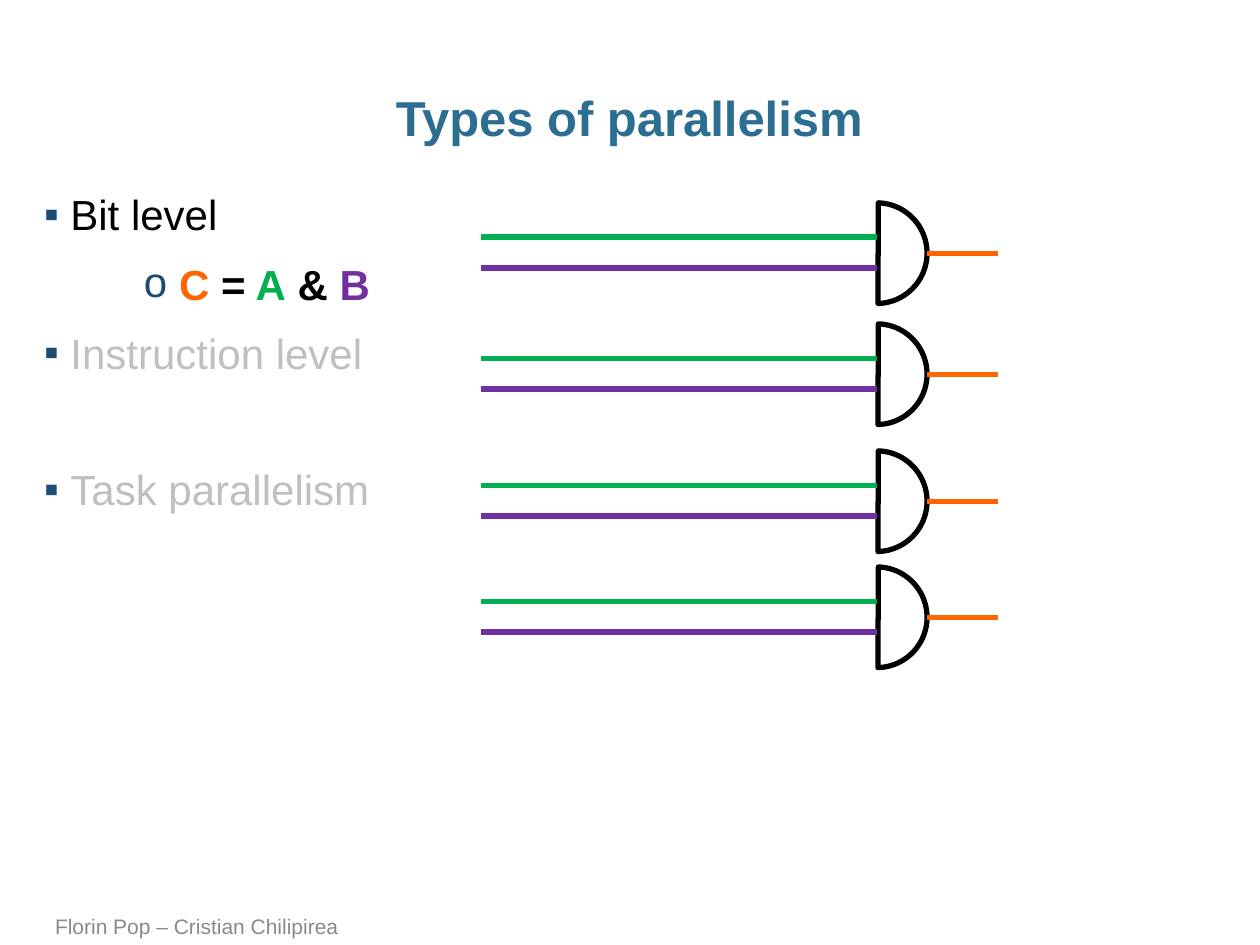
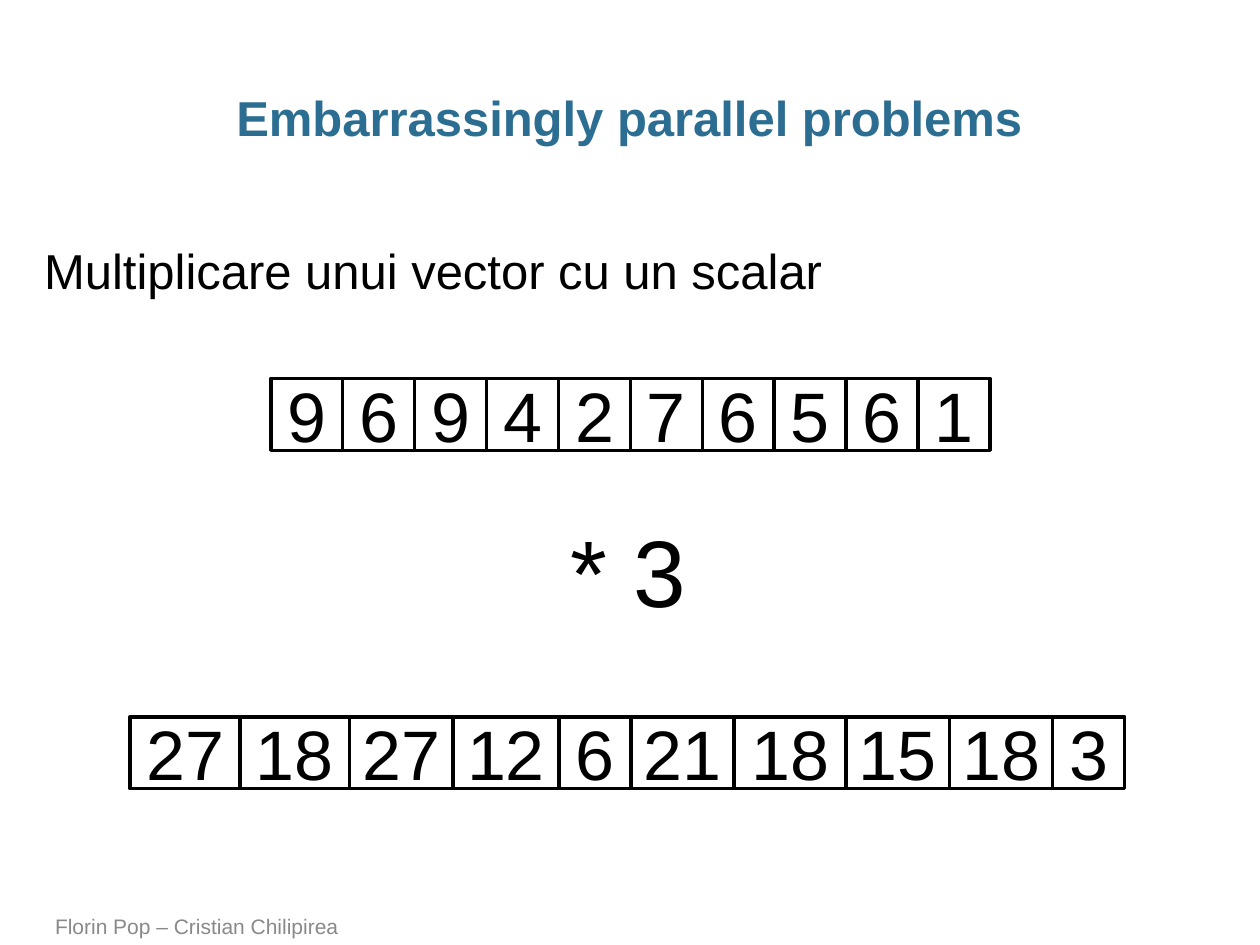
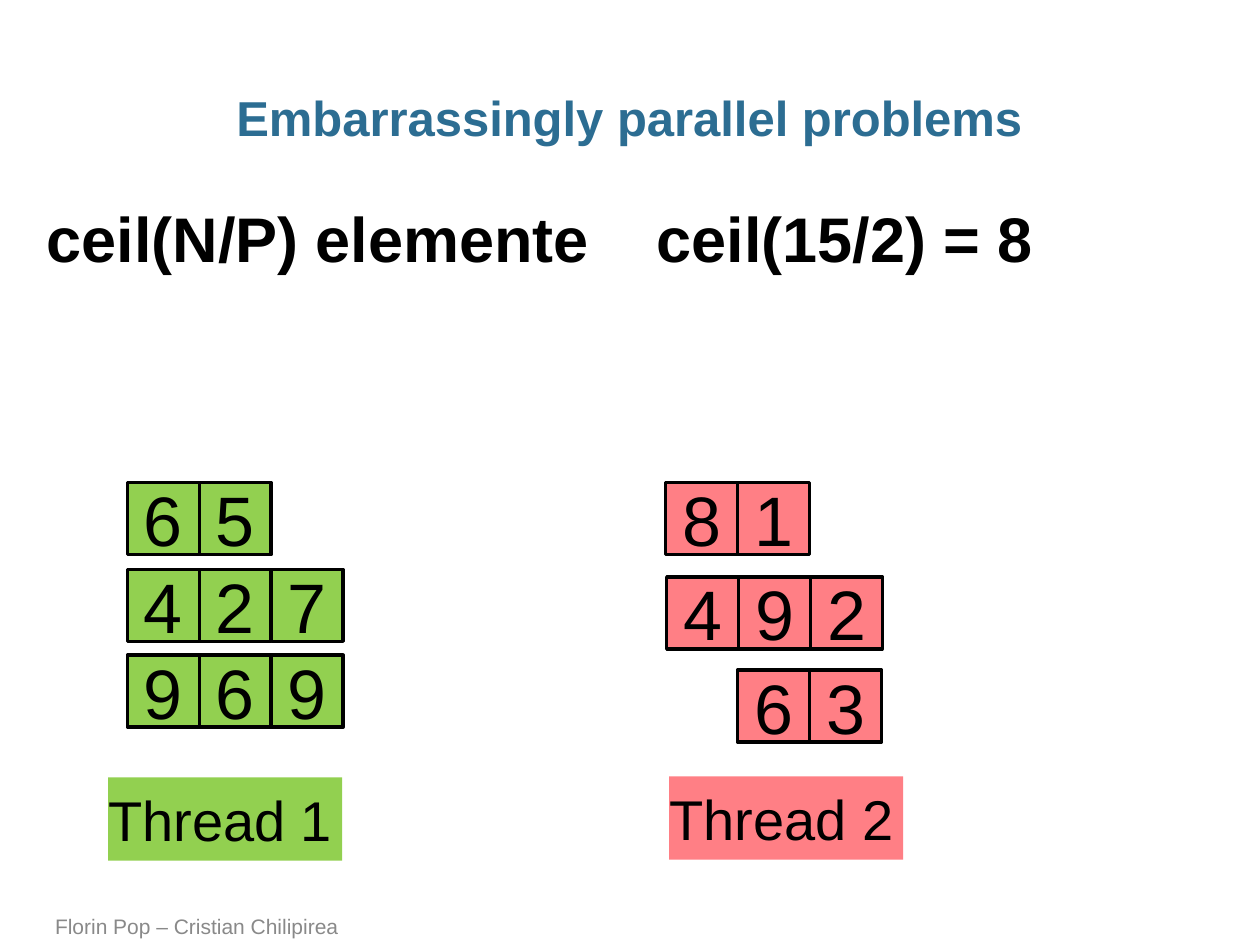
from lxml import etree
from pptx import Presentation
from pptx import util as u
from pptx.dml.color import RGBColor
from pptx.enum import shapes, text
from pptx.oxml import ns

Cm, Pt = u.Cm, u.Pt
FONT = "Arial"
HUES = {
    "title": "2C6D92", "mark": "1C4C74", "foot": "898989", "dim": "BFBFBF",
    "black": "000000", "orange": "FF6600", "green": "00B050",
    "purple": "7030A0", "lime": "92D050", "pink": "FF7F85",
}
SIDE = 1.45  # edge of a square cell


def write(slide, words, spot, size, hue="black", bold=False, side=0.25):
    """Add a text box with one paragraph and return the paragraph."""
    frame = slide.shapes.add_textbox(*[Cm(n) for n in spot]).text_frame
    frame.word_wrap = True
    frame.margin_left = frame.margin_right = Cm(side)
    par = frame.paragraphs[0]
    par.text = words
    par.font.name, par.font.size, par.font.bold = FONT, Pt(size), bold
    par.font.color.rgb = RGBColor.from_string(HUES[hue])
    return par


def block(slide, words, spot, size=40, fill=None, edge=True):
    """Add a rectangle with text and return its text frame."""
    rect = slide.shapes.add_shape(shapes.MSO_SHAPE.RECTANGLE,
                                  *[Cm(n) for n in spot])
    rect.shadow.inherit = False
    if fill:
        rect.fill.solid()
        rect.fill.fore_color.rgb = RGBColor.from_string(HUES[fill])
    else:
        rect.fill.background()
    if edge:
        rect.line.width = Pt(2)
        rect.line.color.rgb = RGBColor.from_string(HUES["black"])
    else:
        rect.line.fill.background()
    frame = rect.text_frame
    frame.word_wrap = False
    frame.vertical_anchor = text.MSO_ANCHOR.MIDDLE
    par = frame.paragraphs[0]
    par.text = words
    par.alignment = text.PP_ALIGN.CENTER
    par.font.name, par.font.size = FONT, Pt(size)
    par.font.color.rgb = RGBColor.from_string(HUES["black"])
    return frame


deck = Presentation()
deck.slide_width, deck.slide_height = Cm(25.4), Cm(19.05)

# Titles and footers
pages = []
for name in ["Types of parallelism"] + ["Embarrassingly parallel problems"] * 2:
    page = deck.slides.add_slide(deck.slide_layouts[6])
    head = write(page, name, (0.86, 1.73, 23.65, 1.27), 28, "title", True, 0)
    head.alignment = text.PP_ALIGN.CENTER
    head.line_spacing = 0.95
    write(page, "Florin Pop – Cristian Chilipirea",
          (0.86, 18.34, 18.72, 0.71), 12, "foot")
    page.shapes[-1].text_frame.vertical_anchor = text.MSO_ANCHOR.BOTTOM
    pages.append(page)
types, scale, split = pages

# Slide 1: bulleted list (level, space before, runs)
items = [
    (0, 0, [("Bit level", "black")]),
    (1, 10.8, [("C ", "orange"), ("=", "black"), (" A", "green"),
               (" & ", "black"), ("B", "purple")]),
    (0, 10.8, [("Instruction level", "dim")]),
    (0, 49.2, [("Task parallelism", "dim")]),
]
frame = types.shapes.add_textbox(Cm(0.89), Cm(3.68), Cm(23.67),
                                 Cm(14.15)).text_frame
frame.word_wrap = True
frame.margin_left = frame.margin_right = 0
for i, (level, gap, runs) in enumerate(items):
    par = frame.add_paragraph() if i else frame.paragraphs[0]
    par.level = level
    left, hang, mark = [(0.53, 0.53, "▪"), (2.72, 0.71, "o")][level]
    prop = par._p.get_or_add_pPr()
    prop.set("marL", str(Cm(left)))
    prop.set("indent", str(-Cm(hang)))
    tint = etree.SubElement(prop, ns.qn("a:buClr"))
    etree.SubElement(tint, ns.qn("a:srgbClr")).set("val", HUES["mark"])
    etree.SubElement(prop, ns.qn("a:buFont")).set("typeface", FONT)
    etree.SubElement(prop, ns.qn("a:buChar")).set("char", mark)
    par.space_before = Pt(gap)
    par.font.name, par.font.size, par.font.bold = FONT, Pt(24), level == 1
    for words, hue in runs:
        run = par.add_run()
        run.text = words
        run.font.color.rgb = RGBColor.from_string(HUES[hue])

# Slide 1: gates with two inputs and one output
wires = [("purple", 9.7, 17.68, 1.31), ("green", 9.7, 17.68, 0.69),
         ("orange", 18.69, 20.12, 1.02)]
for top in (4.09, 6.53, 9.09, 11.43):
    gate = types.shapes.add_shape(shapes.MSO_SHAPE.CHORD, Cm(16.66), Cm(top),
                                  Cm(2.03), Cm(2.03))
    gate.adjustments[0], gate.adjustments[1] = 163.11, 53.15
    gate.shadow.inherit = False
    gate.fill.background()
    gate.line.width = Pt(3)
    gate.line.color.rgb = RGBColor.from_string(HUES["black"])
    for hue, start, end, drop in wires:
        y = Cm(top + drop)
        wire = types.shapes.add_connector(shapes.MSO_CONNECTOR.STRAIGHT,
                                          Cm(start), y, Cm(end), y)
        wire.line.width = Pt(3)
        wire.line.color.rgb = RGBColor.from_string(HUES[hue])
        etree.SubElement(wire._element.spPr, ns.qn("a:effectLst"))

# Slide 2: vector times scalar
write(scale, "Multiplicare unui vector cu un scalar",
      (0.64, 4.72, 16.41, 1.45), 28)
write(scale, "* 3", (11.25, 10.21, 2.87, 2.57), 54)
vector = [9, 6, 9, 4, 2, 7, 6, 5, 6, 1]
widths = [2.22, 2.21, 2.08, 2.14, SIDE, 2.08, 2.26, 2.08, 2.08, SIDE]
rows = [(5.46, 7.63, 1, [SIDE] * len(vector)), (2.62, 14.45, 3, widths)]
for x, top, times, spans in rows:
    for num, span in zip(vector, spans):
        block(scale, str(num * times), (x, top, span, SIDE))
        x += span

# Slide 3: formula
rule = write(split, "ceil(N/P) elemente\tceil(15/2) = 8",
             (0.69, 3.89, 23.95, 1.8), 36, bold=True)
tabs = etree.Element(ns.qn("a:tabLst"))
etree.SubElement(tabs, ns.qn("a:tab"), pos=str(Cm(12.3)), algn="l")
rule._p.get_or_add_pPr().insert(0, tabs)

# Slide 3: cells of each thread (left, top, digits)
threads = [
    ("Thread 1", "lime", 2.18, 15.67,
     [(2.57, 9.73, "65"), (2.57, 11.48, "427"), (2.57, 13.21, "969")]),
    ("Thread 2", "pink", 13.49, 15.65,
     [(13.42, 9.73, "81"), (13.44, 11.63, "492"), (14.87, 13.51, "63")]),
]
for name, hue, left, base, lines in threads:
    for x, top, digits in lines:
        for i, digit in enumerate(digits):
            block(split, digit, (x + i * SIDE, top, SIDE, SIDE), fill=hue)
    label = block(split, name, (left, base, 4.72, 1.68), 32, hue, False)
    label.word_wrap = True
    label.margin_left = label.margin_right = 0
    label.paragraphs[0].alignment = text.PP_ALIGN.LEFT

deck.save("out.pptx")
